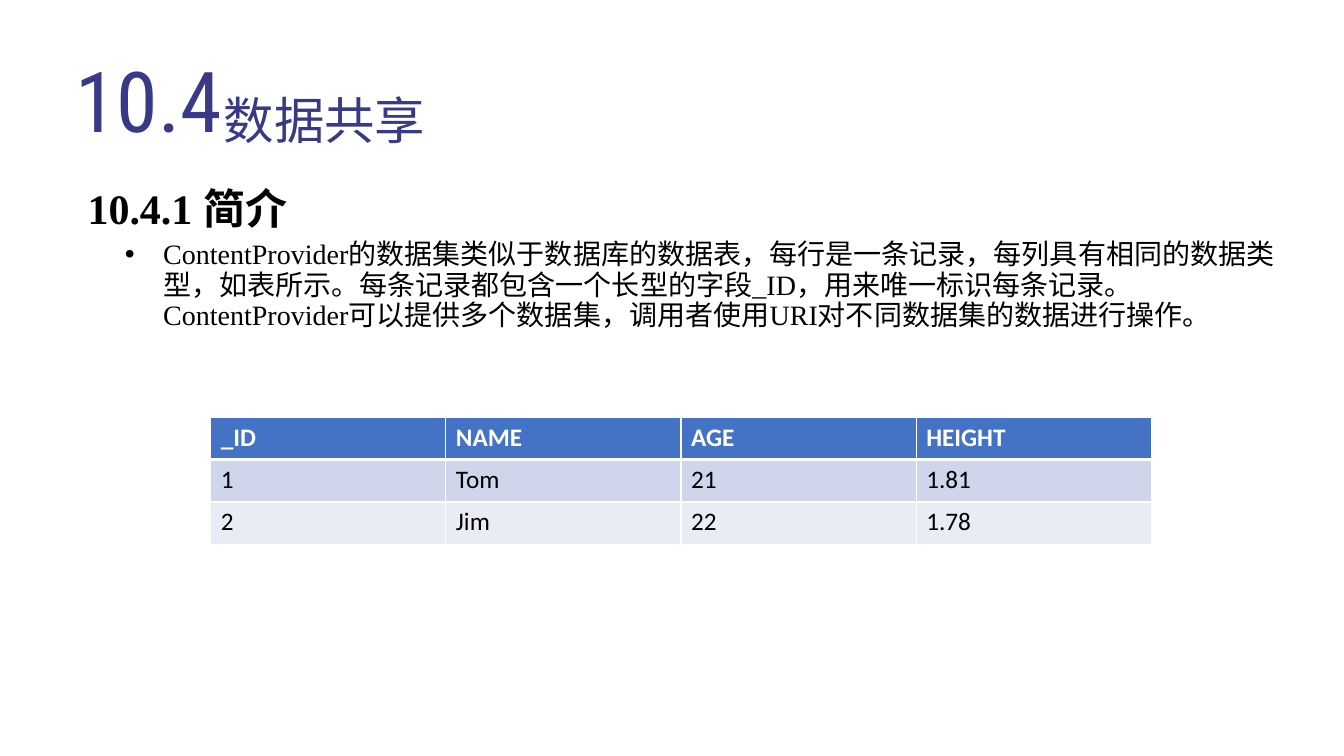
from lxml import etree
from pptx import Presentation
from pptx.dml.color import RGBColor
from pptx.enum.text import MSO_ANCHOR
from pptx.oxml.ns import qn
from pptx.util import Inches, Pt

MIDDLE = MSO_ANCHOR.MIDDLE
TOP = MSO_ANCHOR.TOP
INDIGO, BLACK, WHITE = "383987", "000000", "FFFFFF"
HEADER_FILL, ROW_FILLS = "4472C4", ("CFD5EA", "E9EBF5")
SERIF = "Times New Roman"

SUMMARY = (
    "ContentProvider的数据集类似于数据库的数据表，每行是一条记录，每列具有相同的数据类型，"
    "如表所示。每条记录都包含一个长型的字段_ID，用来唯一标识每条记录。"
    "ContentProvider可以提供多个数据集，调用者使用URI对不同数据集的数据进行操作。"
)
RECORDS = [
    ("_ID", "NAME", "AGE", "HEIGHT"),
    ("1", "Tom", "21", "1.81"),
    ("2", "Jim", "22", "1.78"),
]


def rgb(value):
    """Turn a hex string into a colour."""
    return RGBColor.from_string(value)


def add_span(para, text, color, **font_format):
    """Add a run with the given font values."""
    span = para.add_run()
    span.text = text
    span.font.color.rgb = rgb(color)
    for name, value in font_format.items():
        setattr(span.font, name, value)


def add_box(page, left, top, width, height, anchor=TOP):
    """Add a wrapping text box and return its text frame."""
    box = page.shapes.add_textbox(
        Inches(left), Inches(top), Inches(width), Inches(height))
    frame = box.text_frame
    frame.word_wrap = True
    frame.vertical_anchor = anchor
    return frame


def space_para(para, **spacing):
    """Set the spacing values of a paragraph."""
    for name, value in spacing.items():
        setattr(para, name, value)


def add_bullet(para, left, hanging):
    """Give a paragraph a round bullet with a hanging indent."""
    properties = para._p.get_or_add_pPr()
    properties.set("marL", str(Inches(left)))
    properties.set("indent", str(-Inches(hanging)))
    etree.SubElement(properties, qn("a:buFont"), typeface="Arial")
    etree.SubElement(properties, qn("a:buChar"), char="•")


def add_borders(cell, color, widths):
    """Draw the cell borders, with widths in points by side."""
    properties = cell._tc.get_or_add_tcPr()
    for side, width in widths.items():
        line = etree.SubElement(properties, qn(f"a:ln{side}"), w=str(Pt(width)))
        fill = etree.SubElement(line, qn("a:solidFill"))
        etree.SubElement(fill, qn("a:srgbClr"), val=color)


def add_records(page, records, left, top, width, row_height):
    """Add the record table with a header and banded rows."""
    table = page.shapes.add_table(
        len(records), len(records[0]), Inches(left), Inches(top),
        Inches(width), Inches(row_height * len(records))).table
    for row, record in enumerate(records):
        header = row == 0
        fill = HEADER_FILL if header else ROW_FILLS[(row - 1) % 2]
        widths = {"L": 1, "R": 1, "T": 3 if row == 1 else 1, "B": 3 if header else 1}
        for column, text in enumerate(record):
            cell = table.cell(row, column)
            add_borders(cell, WHITE, widths)
            cell.fill.solid()
            cell.fill.fore_color.rgb = rgb(fill)
            add_span(cell.text_frame.paragraphs[0], text,
                     WHITE if header else BLACK,
                     name="Calibri", size=Pt(18), bold=header)


def main():
    """Build the data sharing slide."""
    deck = Presentation()
    deck.slide_width, deck.slide_height = Inches(13.33), Inches(7.5)
    page = deck.slides.add_slide(deck.slide_layouts[6])

    title = add_box(page, 2.12, 0.5, 11.5, 1.45, MIDDLE).paragraphs[0]
    space_para(title, line_spacing=0.9)
    add_span(title, "数据共享", INDIGO, name=SERIF, size=Pt(36))

    body = add_box(page, 0.77, 1.82, 12.14, 4.94)
    heading = body.paragraphs[0]
    space_para(heading, line_spacing=0.9, space_before=Pt(10))
    add_span(heading, "10.4.1 简介", BLACK, name=SERIF, size=Pt(30), bold=True)
    summary = body.add_paragraph()
    space_para(summary, level=1, line_spacing=0.9, space_before=Pt(5))
    add_bullet(summary, 0.75, 0.38)
    add_span(summary, SUMMARY, BLACK, name=SERIF, size=Pt(20), bold=False)

    number = add_box(page, 0.65, 0.43, 2.52, 1.11).paragraphs[0]
    add_span(number, "10.4", INDIGO, name="Roboto Condensed", size=Pt(60))

    add_records(page, RECORDS, 2.09, 4.14, 9.33, 0.42)
    deck.save("out.pptx")


if __name__ == "__main__":
    main()
